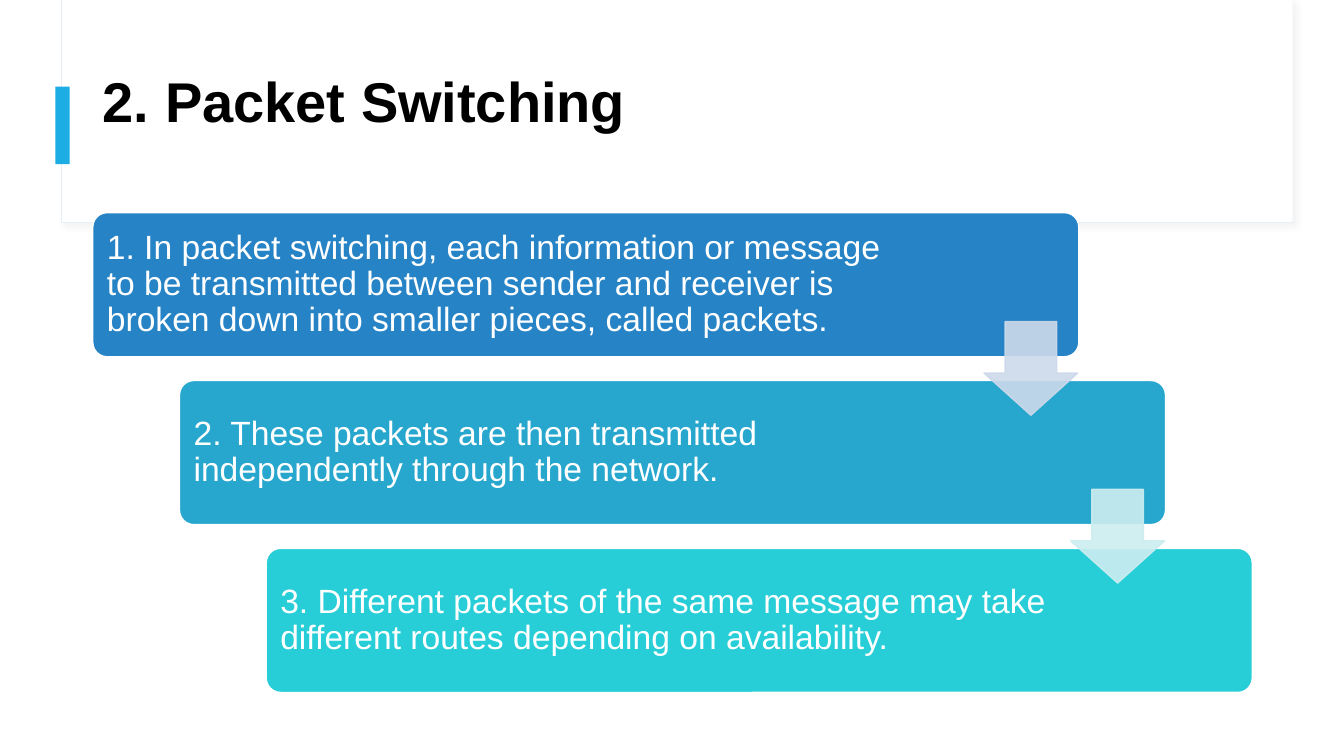
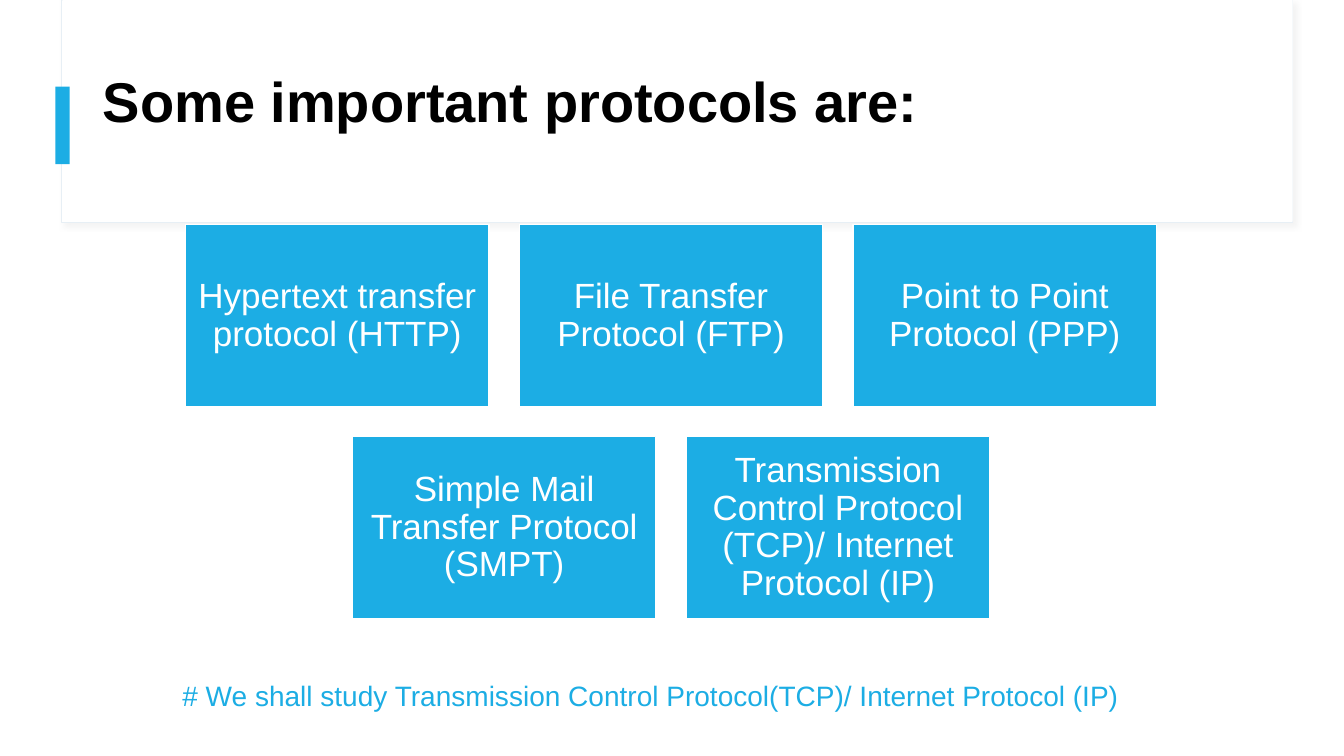
from typing import NamedTuple, Optional

import lxml.etree
import pptx
import pptx.dml.color
import pptx.enum.shapes
import pptx.enum.text
import pptx.oxml.ns
import pptx.shapes.autoshape
import pptx.slide
import pptx.text.text
import pptx.util

RGBColor = pptx.dml.color.RGBColor
Inches = pptx.util.Inches
Pt = pptx.util.Pt
Preset = pptx.enum.shapes.MSO_SHAPE
Anchor = pptx.enum.text.MSO_ANCHOR
Align = pptx.enum.text.PP_ALIGN
qn = pptx.oxml.ns.qn

WHITE = RGBColor(0xFF, 0xFF, 0xFF)
BLACK = RGBColor(0, 0, 0)
SKY = RGBColor(0x1C, 0xAD, 0xE4)
BLUE = RGBColor(0x26, 0x83, 0xC6)
TEAL = RGBColor(0x27, 0xA7, 0xCE)
TURQUOISE = RGBColor(0x27, 0xCE, 0xD7)
FRAME_LINE = RGBColor(0xE7, 0xEF, 0xF5)
PALE_BLUE = RGBColor(0xCD, 0xD9, 0xEA)
PALE_TEAL = RGBColor(0xCD, 0xED, 0xF0)

FONT = "Arial"
TITLE_ONLY = 5


class Box(NamedTuple):
    """Left, top, width and height in inches."""
    left: float
    top: float
    width: float
    height: float

    def emu(self) -> list[int]:
        return [Inches(length) for length in self]


class Step(NamedTuple):
    text: str
    fill: RGBColor
    right_inset: float
    arrow: Optional[RGBColor] = None


SLIDE_WIDTH, SLIDE_HEIGHT = 13.33, 7.5
TITLE = Box(0.92, 0.28, 11.49, 1.11)

FIRST_STEP = Box(0.92, 2.11, 9.78, 1.43)
STEP_RIGHT, STEP_DOWN = 0.86, 1.665
ARROW_IN_STEP = Box(8.84, 1.08, 0.93, 0.93)
STEPS = (
    Step("1. In packet switching, each information or message to be transmitted "
         "between sender and receiver is broken down into smaller pieces, "
         "called packets.", BLUE, 1.57, PALE_BLUE),
    Step("2. These packets are then transmitted independently through the network.",
         TEAL, 1.9, PALE_TEAL),
    Step("3. Different packets of the same message may take different routes "
         "depending on availability.", TURQUOISE, 1.9),
)

CARD_WIDTH, CARD_HEIGHT = 3.01, 1.81
CARD_GAP, ROW_GAP = 0.3, 0.29
CARDS_CENTER, CARDS_TOP = 6.655, 2.23
PROTOCOL_ROWS = (
    ("Hypertext transfer protocol (HTTP)", "File Transfer Protocol (FTP)",
     "Point to Point Protocol (PPP)"),
    ("Simple Mail Transfer Protocol (SMPT)",
     "Transmission Control Protocol (TCP)/ Internet Protocol (IP)"),
)


def write(frame: pptx.text.text.TextFrame, text: str, *, size: float,
          color: RGBColor = WHITE, bold: bool = False, align: Align = Align.LEFT,
          anchor: Anchor = Anchor.MIDDLE, spacing: float = 0.9,
          insets: tuple[float, float, float, float] = (0.1, 0.1, 0.1, 0.1)) -> None:
    """Fill a frame with one paragraph; insets run left, top, right, bottom."""
    frame.word_wrap = True
    frame.auto_size = pptx.enum.text.MSO_AUTO_SIZE.NONE
    frame.vertical_anchor = anchor
    (frame.margin_left, frame.margin_top,
     frame.margin_right, frame.margin_bottom) = map(Inches, insets)
    paragraph = frame.paragraphs[0]
    paragraph.alignment = align
    paragraph.line_spacing = spacing
    run = paragraph.add_run()
    run.text = text
    run.font.name = FONT
    run.font.size = Pt(size)
    run.font.bold = bold
    run.font.color.rgb = color


def add_block(slide: pptx.slide.Slide, preset: Preset, box: Box, fill: RGBColor, *,
              line: Optional[RGBColor] = None, line_width: float = 1,
              adjustments: tuple[float, ...] = ()) -> pptx.shapes.autoshape.Shape:
    block = slide.shapes.add_shape(preset, *box.emu())
    block.shadow.inherit = False
    block.fill.solid()
    block.fill.fore_color.rgb = fill
    if line is None:
        block.line.fill.background()
    else:
        block.line.color.rgb = line
        block.line.width = Pt(line_width)
    for index, value in enumerate(adjustments):
        block.adjustments[index] = value
    return block


def set_opacity(element: lxml.etree.ElementBase, percent: int) -> None:
    """Make every plain colour inside the element partly transparent."""
    for color in element.iter(qn("a:srgbClr")):
        lxml.etree.SubElement(color, qn("a:alpha"), val=str(percent * 1000))


def add_soft_shadow(block: pptx.shapes.autoshape.Shape) -> None:
    effects = block._element.spPr.find(qn("a:effectLst"))
    shadow = lxml.etree.SubElement(
        effects, qn("a:outerShdw"), blurRad=str(Pt(4)), dist=str(Pt(3)),
        dir=str(45 * 60000), algn="tl", rotWithShape="0")
    lxml.etree.SubElement(shadow, qn("a:srgbClr"), val="D9D9D9")
    set_opacity(shadow, 30)


def decorate_layout(layout: pptx.slide.SlideLayout, slide: pptx.slide.Slide) -> None:
    """Draw the title band on a slide, then move it to the back of the layout."""
    frame = add_block(slide, Preset.RECTANGLE, Box(0.61, 0, 12.21, 2.21), WHITE,
                      line=FRAME_LINE, line_width=0.75)
    add_soft_shadow(frame)
    panel = add_block(slide, Preset.RECTANGLE, Box(0.62, 0, 12.2, 2.2), WHITE)
    accent = add_block(slide, Preset.RECTANGLE, Box(0.55, 0.86, 0.14, 0.77), SKY)
    for position, part in enumerate((frame, panel, accent), start=2):
        layout.shapes._spTree.insert(position, part._element)


def add_titled_slide(deck: pptx.presentation.Presentation,
                     title: str) -> pptx.slide.Slide:
    slide = deck.slides.add_slide(deck.slide_layouts[TITLE_ONLY])
    heading = slide.shapes.title
    heading.left, heading.top, heading.width, heading.height = TITLE.emu()
    write(heading.text_frame, title, size=40, color=BLACK, bold=True,
          anchor=Anchor.BOTTOM, insets=(0.1, 0.05, 0.1, 0.05))
    return slide


def add_staircase(slide: pptx.slide.Slide) -> None:
    boxes = [FIRST_STEP._replace(left=FIRST_STEP.left + index * STEP_RIGHT,
                                 top=FIRST_STEP.top + index * STEP_DOWN)
             for index in range(len(STEPS))]
    for step, box in zip(STEPS, boxes):
        block = add_block(slide, Preset.ROUNDED_RECTANGLE, box, step.fill,
                          line=WHITE, adjustments=(0.1,))
        write(block.text_frame, step.text, size=24,
              insets=(0.1, 0.1, step.right_inset, 0.1))
    for step, box in zip(STEPS, boxes):
        if step.arrow is not None:
            place = ARROW_IN_STEP._replace(left=box.left + ARROW_IN_STEP.left,
                                           top=box.top + ARROW_IN_STEP.top)
            arrow = add_block(slide, Preset.DOWN_ARROW, place, step.arrow,
                              line=step.arrow, adjustments=(0.55, 0.45))
            set_opacity(arrow._element.spPr, 90)


def add_protocol_cards(slide: pptx.slide.Slide) -> None:
    for row, names in enumerate(PROTOCOL_ROWS):
        row_width = len(names) * (CARD_WIDTH + CARD_GAP) - CARD_GAP
        top = CARDS_TOP + row * (CARD_HEIGHT + ROW_GAP)
        for column, name in enumerate(names):
            left = CARDS_CENTER - row_width / 2 + column * (CARD_WIDTH + CARD_GAP)
            card = add_block(slide, Preset.RECTANGLE,
                             Box(left, top, CARD_WIDTH, CARD_HEIGHT), SKY, line=WHITE)
            write(card.text_frame, name, size=25, align=Align.CENTER)


def main() -> None:
    deck = pptx.Presentation()
    deck.slide_width, deck.slide_height = Inches(SLIDE_WIDTH), Inches(SLIDE_HEIGHT)

    switching = add_titled_slide(deck, "2. Packet Switching")
    decorate_layout(deck.slide_layouts[TITLE_ONLY], switching)
    add_staircase(switching)

    protocols = add_titled_slide(deck, "Some important protocols are:")
    add_protocol_cards(protocols)
    remark = protocols.shapes.add_textbox(*Box(1.71, 6.68, 10.11, 0.44).emu())
    write(remark.text_frame,
          "# We shall study Transmission Control Protocol(TCP)/ Internet Protocol (IP)",
          size=20, color=SKY, anchor=Anchor.TOP, spacing=1.0,
          insets=(0.1, 0.05, 0.1, 0.05))

    deck.save("out.pptx")


if __name__ == "__main__":
    main()
